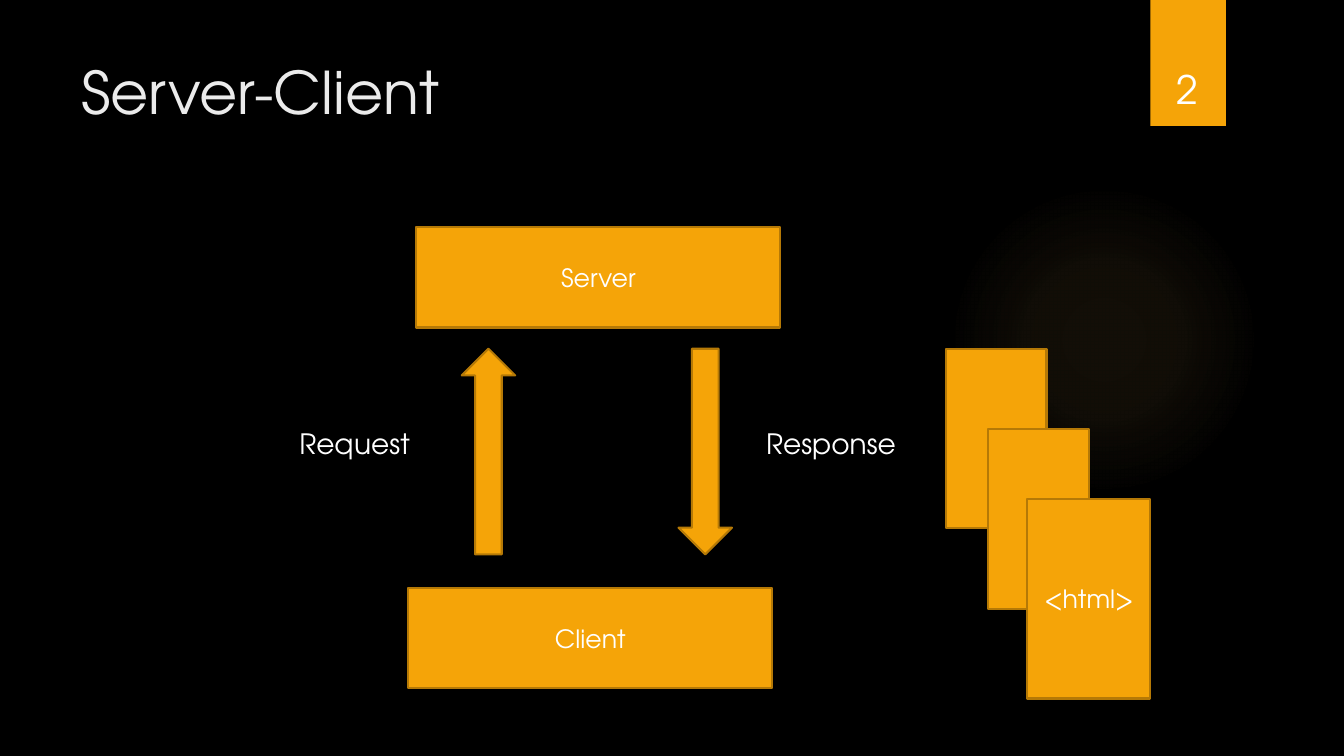
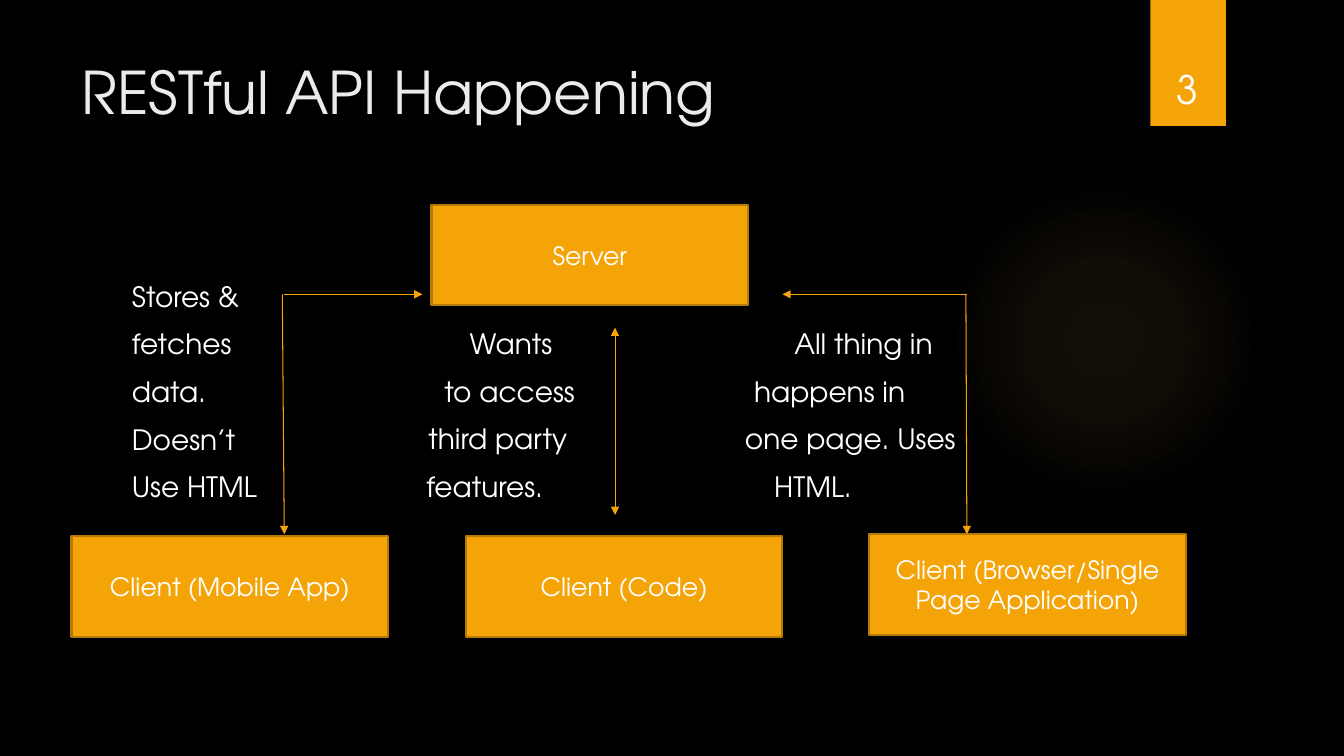
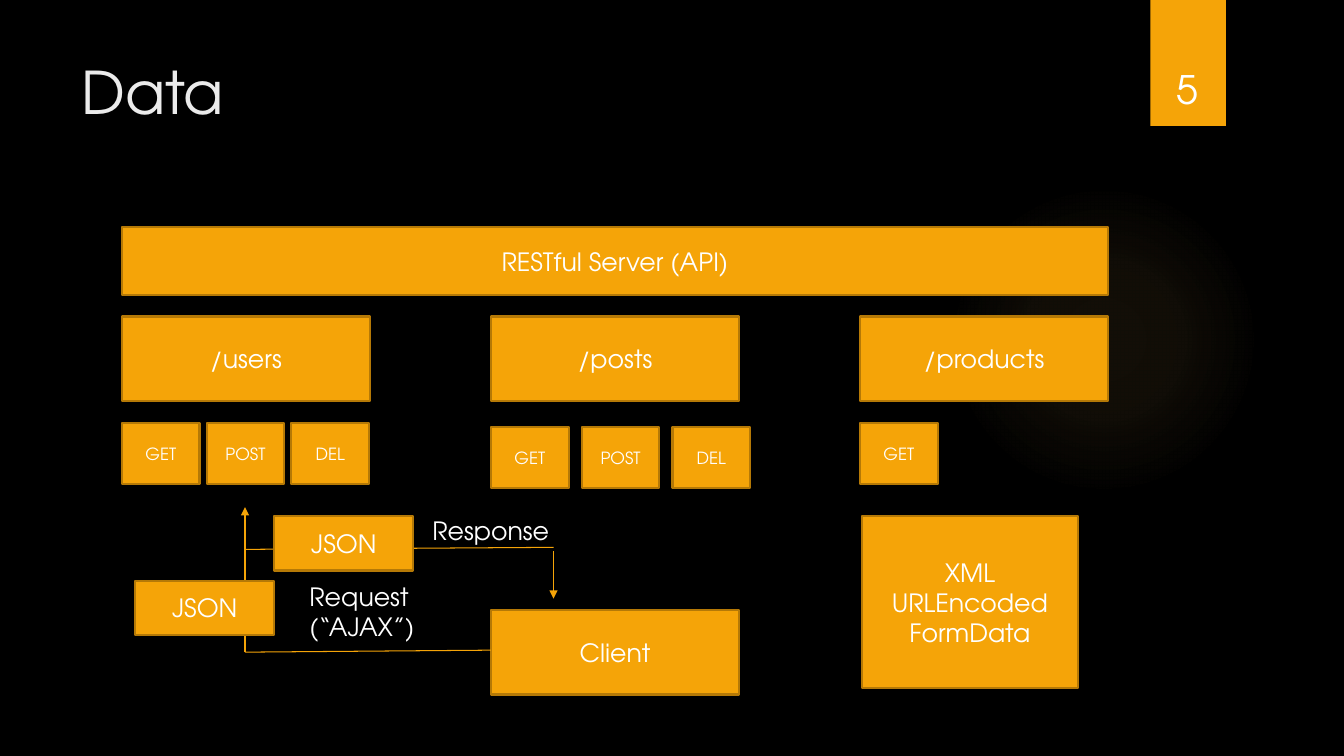
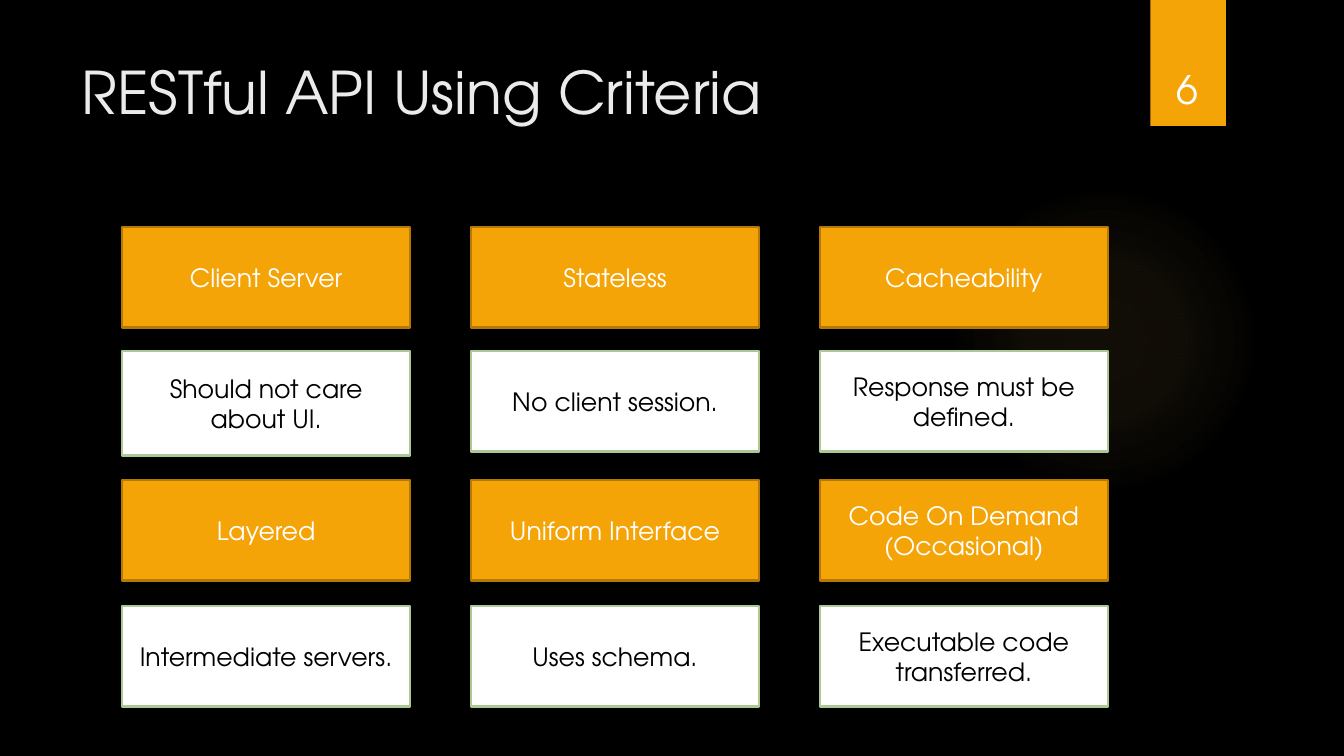
from pptx import Presentation
from pptx.dml.color import RGBColor
from pptx.enum.shapes import MSO_CONNECTOR, MSO_SHAPE
from pptx.enum.text import MSO_ANCHOR, PP_ALIGN
from pptx.oxml import parse_xml
from pptx.oxml.ns import nsdecls, qn
from pptx.oxml.xmlchemy import OxmlElement
from pptx.util import Inches, Pt

RECT, OVAL = MSO_SHAPE.RECTANGLE, MSO_SHAPE.OVAL
UP, DOWN = MSO_SHAPE.UP_ARROW, MSO_SHAPE.DOWN_ARROW
STRAIGHT = MSO_CONNECTOR.STRAIGHT
LEFT, CENTER = PP_ALIGN.LEFT, PP_ALIGN.CENTER
TOP, MIDDLE, BOTTOM = MSO_ANCHOR.TOP, MSO_ANCHOR.MIDDLE, MSO_ANCHOR.BOTTOM

FONT = "TeX Gyre Adventor"
BLACK = RGBColor(0x00, 0x00, 0x00)
WHITE = RGBColor(0xFF, 0xFF, 0xFF)
PALE = RGBColor(0xEB, 0xEB, 0xEB)
AMBER = RGBColor(0xF5, 0xA4, 0x08)
BROWN = RGBColor(0xB5, 0x79, 0x06)
GREEN = RGBColor(0xAC, 0xC9, 0x95)
GLOW = "FAC96A"
GLOW_STOPS = ((0, 7), (36, 6), (69, 0))  # position and opacity, percent

EDGE = 1.21  # left edge of the content

# Server-Client: text, left, top, width, height
PAIR = [("Server", 4.13, 2.25, 3.61, 1), ("Client", 4.05, 5.83, 3.61, 1)]
ARROWS = [(UP, 4.58), (DOWN, 6.73)]
CALLS = [("Request", 2.87), ("Response", 7.5)]
PAGES = [("", 9.38, 3.46, 1, 1.78), ("", 9.8, 4.26, 1, 1.78),
         ("<html>", 10.19, 4.95, 1.22, 1.98)]

# RESTful API Happening
NODES = [("Server", 4.28, 2.03), ("Client (Mobile App)", 0.71, 5.32),
         ("Client (Code)", 4.62, 5.32),
         ("Client (Browser/Single Page Application)", 8.62, 5.3)]
# left, top, width, then each line with its indent
REASONS = [
    (EDGE, 2.72, 1.6, [("Stores &", 0), ("fetches", 0), ("data.", 0),
                       ("Doesn’t", 0), ("Use HTML", 0)]),
    (4.13, 3.19, 1.9, [("Wants", 0.43), ("to access", 0.18),
                       ("third party", 0.02), ("features.", 0)]),
    (7.29, 3.19, 2.4, [("All thing in", 0.49), ("happens in", 0.09),
                       ("one page. Uses", 0), ("HTML.", 0.29)]),
]
# start, end, arrowheads
LINKS = [
    ((2.8, 2.92), (2.82, 5.3), ("tail",)),
    ((2.82, 2.92), (4.19, 2.92), ("tail",)),
    ((9.58, 2.92), (9.59, 5.3), ("tail",)),
    ((9.59, 2.92), (7.76, 2.92), ("tail",)),
    ((6.1, 3.25), (6.1, 5.11), ("head", "tail")),
]

# Data: route, methods, top of the methods, step between them
ROUTES = [("/users", ("GET", "POST", "DEL"), 4.2, 0.84),
          ("/posts", ("GET", "POST", "DEL"), 4.24, 0.9),
          ("/products", ("GET",), 4.2, 0.84)]
FLOWS = [
    ((2.43, 6.47), (4.87, 6.45), ()),
    ((2.43, 6.47), (2.43, 5.03), ("tail",)),
    ((2.44, 5.45), (5.49, 5.43), ()),
    ((5.49, 5.47), (5.49, 5.94), ("tail",)),
]
NOTES = [("Response", 4.19, 5.06, 1.72, 0.4),
         ("Request\n(“AJAX”)", 2.97, 5.72, 1.3, 0.71)]
FORMATS = [("JSON", 1.34, 5.76, 1.38, 0.54), ("JSON", 2.72, 5.12, 1.38, 0.54),
           ("XML\nURLEncoded\nFormData", 8.55, 5.12, 2.14, 1.71)]

# RESTful API Using Criteria: name and meaning, three to a row
CRITERIA = [
    ("Client Server", "Should not care about UI."),
    ("Stateless", "No client session."),
    ("Cacheability", "Response must be defined."),
    ("Layered", "Intermediate servers."),
    ("Uniform Interface", "Uses schema."),
    ("Code On Demand\n(Occasional)", "Executable code transferred."),
]
ROWS = [(2.25, 3.48), (4.76, 6.01)]  # tops of name and meaning


def write(shape, text, size, color, align, anchor):
    frame = shape.text_frame
    frame.word_wrap = True
    frame.vertical_anchor = anchor
    frame.text = text
    for para in frame.paragraphs:
        para.alignment = align
        for run in para.runs:
            run.font.name = FONT
            run.font.size = Pt(size)
            run.font.color.rgb = color
    return frame


def label(slide, text, x, y, w, h, size=18, color=WHITE, align=LEFT, anchor=TOP):
    box = slide.shapes.add_textbox(Inches(x), Inches(y), Inches(w), Inches(h))
    return write(box, text, size, color, align, anchor)


def block(slide, text, x, y, w, h, kind=RECT, fill=AMBER, edge=BROWN,
          color=WHITE, size=18):
    """Add a filled shape with centred text; edge None means no outline."""
    shape = slide.shapes.add_shape(kind, Inches(x), Inches(y), Inches(w), Inches(h))
    shape.shadow.inherit = False
    shape.fill.solid()
    shape.fill.fore_color.rgb = fill
    if edge is None:
        shape.line.fill.background()
    else:
        shape.line.color.rgb = edge
        shape.line.width = Pt(1.5)
    if text:
        write(shape, text, size, color, CENTER, MIDDLE)
    return shape


def link(slide, start, end, heads):
    ends = [Inches(v) for v in start + end]
    line = slide.shapes.add_connector(STRAIGHT, *ends)
    line.line.color.rgb = AMBER
    line.line.width = Pt(0.75)
    props = line._element.spPr
    for head in heads:
        tip = OxmlElement(f"a:{head}End")
        tip.set("type", "triangle")
        props.find(qn("a:ln")).append(tip)
    props.append(OxmlElement("a:effectLst"))


def add_glow(slide):
    oval = block(slide, "", 9.41, 1.83, 3.08, 3.08, OVAL, edge=None)
    stops = "".join(
        f'<a:gs pos="{pos * 1000}"><a:srgbClr val="{GLOW}">'
        f'<a:alpha val="{alpha * 1000}"/></a:srgbClr></a:gs>'
        for pos, alpha in GLOW_STOPS)
    grad = parse_xml(
        f'<a:gradFill {nsdecls("a")}><a:gsLst>{stops}</a:gsLst>'
        '<a:path path="circle"><a:fillToRect l="50000" t="50000" '
        'r="50000" b="50000"/></a:path></a:gradFill>')
    props = oval._element.spPr
    props.replace(props.find(qn("a:solidFill")), grad)


def add_slide(deck, title, number):
    """Add a slide with the shared glow, number tab and title."""
    slide = deck.slides.add_slide(deck.slide_layouts[6])
    add_glow(slide)
    block(slide, "", 11.41, 0, 0.75, 1.25, edge=None)
    label(slide, title, 0.71, 0.5, 10.29, 1.53, 42, PALE)
    label(slide, str(number), 11.32, 0.32, 0.92, 0.84, 28, WHITE, CENTER, BOTTOM)
    return slide


def draw_pair(slide):
    for text, x in CALLS:
        label(slide, text, x, 4.18, 1.6, 0.43, 20)
    for part in PAIR + PAGES:
        block(slide, *part)
    for kind, x in ARROWS:
        block(slide, "", x, 3.46, 0.53, 2.04, kind)


def draw_clients(slide):
    for x, y, w, lines in REASONS:
        text = "\n".join(line for line, _ in lines)
        frame = label(slide, text, x, y, w, 0.47 * len(lines), 20)
        for para, (_, indent) in zip(frame.paragraphs, lines):
            para.space_after = Pt(10)
            para._p.get_or_add_pPr().set("marL", str(Inches(indent)))
    for text, x, y in NODES:
        block(slide, text, x, y, 3.14, 1)
    for part in LINKS:
        link(slide, *part)


def draw_data(slide):
    block(slide, "RESTful Server (API)", EDGE, 2.25, 9.78, 0.68)
    for col, (route, verbs, top, step) in enumerate(ROUTES):
        x = EDGE + 3.66 * col
        block(slide, route, x, 3.14, 2.46, 0.84)
        for i, verb in enumerate(verbs):
            block(slide, verb, x + step * i, top, 0.77, 0.6, size=12)
    block(slide, "Client", 4.87, 6.05, 2.46, 0.84)
    for part in FLOWS:
        link(slide, *part)
    for part in NOTES:
        label(slide, *part)
    for part in FORMATS:
        block(slide, *part)


def draw_criteria(slide):
    for i, (name, sense) in enumerate(CRITERIA):
        row, col = divmod(i, 3)
        x = EDGE + 3.46 * col
        top, low = ROWS[row]
        block(slide, name, x, top, 2.86, 1)
        tall = 1.04 if i == 0 else 1
        block(slide, sense, x, low, 2.86, tall, fill=WHITE, edge=GREEN, color=BLACK)


SLIDES = [
    ("Server-Client", 2, draw_pair),
    ("RESTful API Happening", 3, draw_clients),
    ("Data", 5, draw_data),
    ("RESTful API Using Criteria", 6, draw_criteria),
]


def main():
    deck = Presentation()
    deck.slide_width, deck.slide_height = Inches(13.33), Inches(7.5)
    back = deck.slide_master.background.fill
    back.solid()
    back.fore_color.rgb = BLACK
    for title, number, draw in SLIDES:
        draw(add_slide(deck, title, number))
    deck.save("out.pptx")


if __name__ == "__main__":
    main()
